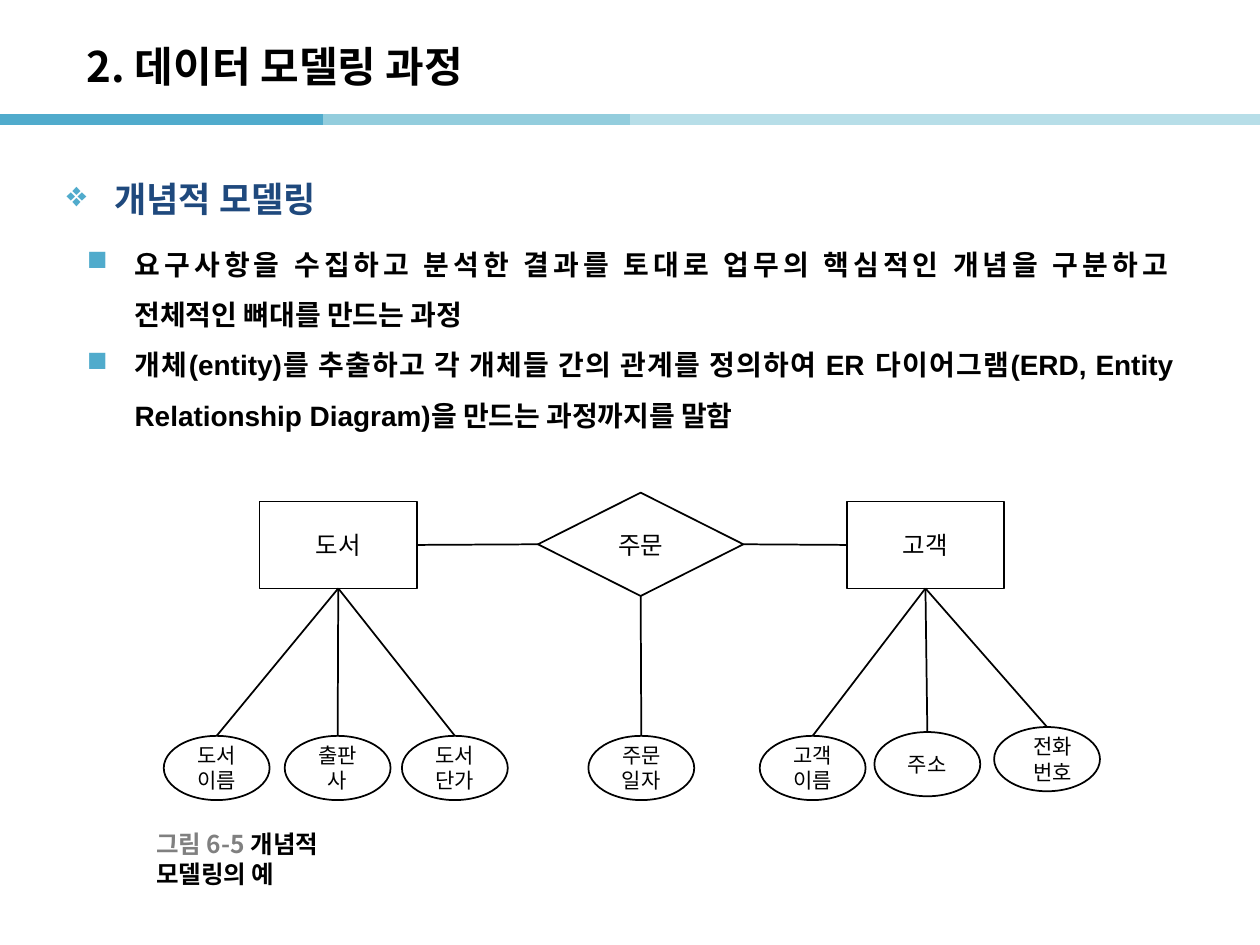
import pptx
import pptx.util
import pptx.dml.color
import pptx.enum.shapes
import pptx.enum.text
import pptx.oxml
import pptx.oxml.ns
import lxml.etree

COLORS = {
    "black": "000000", "white": "FFFFFF", "grey": "808080", "navy": "1F497D",
    "accent": "50ABCC", "accent_mid": "93CDDD", "accent_light": "B7DEE8",
}
KOREAN, LATIN = "Noto Sans CJK KR", "Arial"
UNIT = 0.1  # the slide is a grid of 100 columns by 75 rows
TOP, LEFT, BOTTOM, RIGHT = range(4)
SHAPES = pptx.enum.shapes.MSO_SHAPE
ALIGN = pptx.enum.text.PP_ALIGN
MIDDLE = pptx.enum.text.MSO_ANCHOR.MIDDLE
ELLIPSE_SIZE = (8.4, 5.1)


def grid(*cells):
    return [pptx.util.Inches(cell * UNIT) for cell in cells]


def rgb(name):
    return pptx.dml.color.RGBColor.from_string(COLORS[name])


def add_run(paragraph, text, size, color="black", bold=False, name=KOREAN):
    """Add text; each vertical tab in it becomes a line break."""
    for index, part in enumerate(text.split("\v")):
        if index:
            paragraph.add_line_break()
        run = paragraph.add_run()
        run.text = part
        formats = {"size": pptx.util.Pt(size), "bold": bold, "name": name}
        for key, value in formats.items():
            setattr(run.font, key, value)
        run.font.color.rgb = rgb(color)
        east_asian = lxml.etree.Element(pptx.oxml.ns.qn("a:ea"), typeface=KOREAN)
        run.font._element.find(pptx.oxml.ns.qn("a:latin")).addnext(east_asian)


def add_bullet(paragraph, char):
    properties = paragraph._p.get_or_add_pPr()
    indent = pptx.util.Inches(0.38)
    properties.set("marL", str(indent))
    properties.set("indent", str(-indent))
    namespace = pptx.oxml.ns.nsdecls("a")
    for xml in (
        f'<a:buClr {namespace}><a:srgbClr val="{COLORS["accent"]}"/></a:buClr>',
        f'<a:buChar {namespace} char="{char}"/>',
    ):
        properties.append(pptx.oxml.parse_xml(xml))


def add_line(slide, start, end, color="black", width=1):
    line = slide.shapes.add_connector(
        pptx.enum.shapes.MSO_CONNECTOR.STRAIGHT, *grid(*start, *end))
    line.line.color.rgb = rgb(color)
    line.line.width = pptx.util.Pt(width)
    lxml.etree.SubElement(line._element.spPr, pptx.oxml.ns.qn("a:effectLst"))
    return line


def join(slide, source, source_side, target, target_side):
    line = add_line(slide, (0, 0), (0, 0))
    line.begin_connect(source, source_side)
    line.end_connect(target, target_side)


def add_node(slide, kind, text, box, size, align=ALIGN.CENTER):
    node = slide.shapes.add_shape(kind, *grid(*box))
    node.shadow.inherit = False
    node.fill.solid()
    node.fill.fore_color.rgb = rgb("white")
    node.line.color.rgb = rgb("black")
    node.line.width = pptx.util.Pt(1)
    node.text_frame.vertical_anchor = MIDDLE
    paragraph = node.text_frame.paragraphs[0]
    paragraph.alignment = align
    add_run(paragraph, text, size)
    return node


def add_attributes(slide, owner, attributes):
    """Hang ellipses below the owner, each given as text, left, top and alignment."""
    for text, left, top, align in attributes:
        attribute = add_node(slide, SHAPES.OVAL, text,
                             (left, top, *ELLIPSE_SIZE), 12, align)
        join(slide, owner, BOTTOM, attribute, TOP)


def add_bullets(slide, box, char, texts, size, color="black", align=ALIGN.LEFT):
    frame = slide.shapes.add_textbox(*grid(*box)).text_frame
    frame.word_wrap = True
    for index, text in enumerate(texts):
        paragraph = frame.add_paragraph() if index else frame.paragraphs[0]
        add_bullet(paragraph, char)
        paragraph.alignment = align
        paragraph.line_spacing = 1.5
        add_run(paragraph, text, size, color, True, LATIN)


def add_title(slide, text):
    title = slide.shapes.title
    title.left, title.top, title.width, title.height = grid(5.9, 2.2, 82.7, 6)
    title.text_frame.vertical_anchor = MIDDLE
    paragraph = title.text_frame.paragraphs[0]
    paragraph.alignment = ALIGN.LEFT
    add_run(paragraph, text, 24, bold=True)


def add_header_rule(slide):
    bands = ((0, "accent"), (25.6, "accent_mid"),
             (50, "accent_light"), (74.6, "accent_light"))
    for left, color in bands:
        add_line(slide, (left, 9.5), (min(left + 25.6, 100), 9.5), color, 6)


def add_diagram(slide):
    book = add_node(slide, SHAPES.RECTANGLE, "도서", (20.6, 39.8, 12.5, 6.9), 14)
    order = add_node(slide, SHAPES.DIAMOND, "주문", (42.7, 39.1, 16.3, 8.2), 14)
    customer = add_node(slide, SHAPES.RECTANGLE, "고객", (67.2, 39.8, 12.5, 6.9), 14)
    join(slide, book, RIGHT, order, LEFT)
    join(slide, order, RIGHT, customer, LEFT)
    center = ALIGN.CENTER
    add_attributes(slide, book, [("도서이름", 13, 58.4, center),
                                 ("출판사", 22.6, 58.4, center),
                                 ("도서단가", 31.9, 58.4, center)])
    add_attributes(slide, order, [("주문일자", 46.7, 58.4, center)])
    add_attributes(slide, customer, [("고객이름", 60.3, 58.4, center),
                                     ("주소", 69.4, 58.1, center),
                                     ("전화번호", 78.9, 57.7, ALIGN.RIGHT)])


def add_caption(slide):
    frame = slide.shapes.add_textbox(*grid(11.4, 66.6, 20.5, 3.1)).text_frame
    frame.word_wrap = False
    frame.vertical_anchor = MIDDLE
    paragraph = frame.paragraphs[0]
    add_run(paragraph, "그림 6-5 ", 14, "grey", True)
    add_run(paragraph, "개념적 모델링의 예", 14, bold=True)


def main():
    deck = pptx.Presentation()
    deck.slide_width, deck.slide_height = grid(100, 75)
    slide = deck.slides.add_slide(deck.slide_layouts[5])
    add_header_rule(slide)
    add_title(slide, "2. 데이터 모델링 과정")
    add_bullets(slide, (4.3, 11.9, 88.2, 5.9), "❖", ["개념적 모델링"], 20, "navy")
    add_bullets(slide, (5.9, 17.8, 88.2, 18), "■", [
        "요구사항을 수집하고 분석한 결과를 토대로 업무의 핵심적인 개념을 구분하고\v"
        "전체적인 뼈대를 만드는 과정",
        "개체(entity)를 추출하고 각 개체들 간의 관계를 정의하여 ER 다이어그램"
        "(ERD, Entity Relationship Diagram)을 만드는 과정까지를 말함",
    ], 16, align=ALIGN.JUSTIFY)
    add_diagram(slide)
    add_caption(slide)
    deck.save("out.pptx")


if __name__ == "__main__":
    main()
